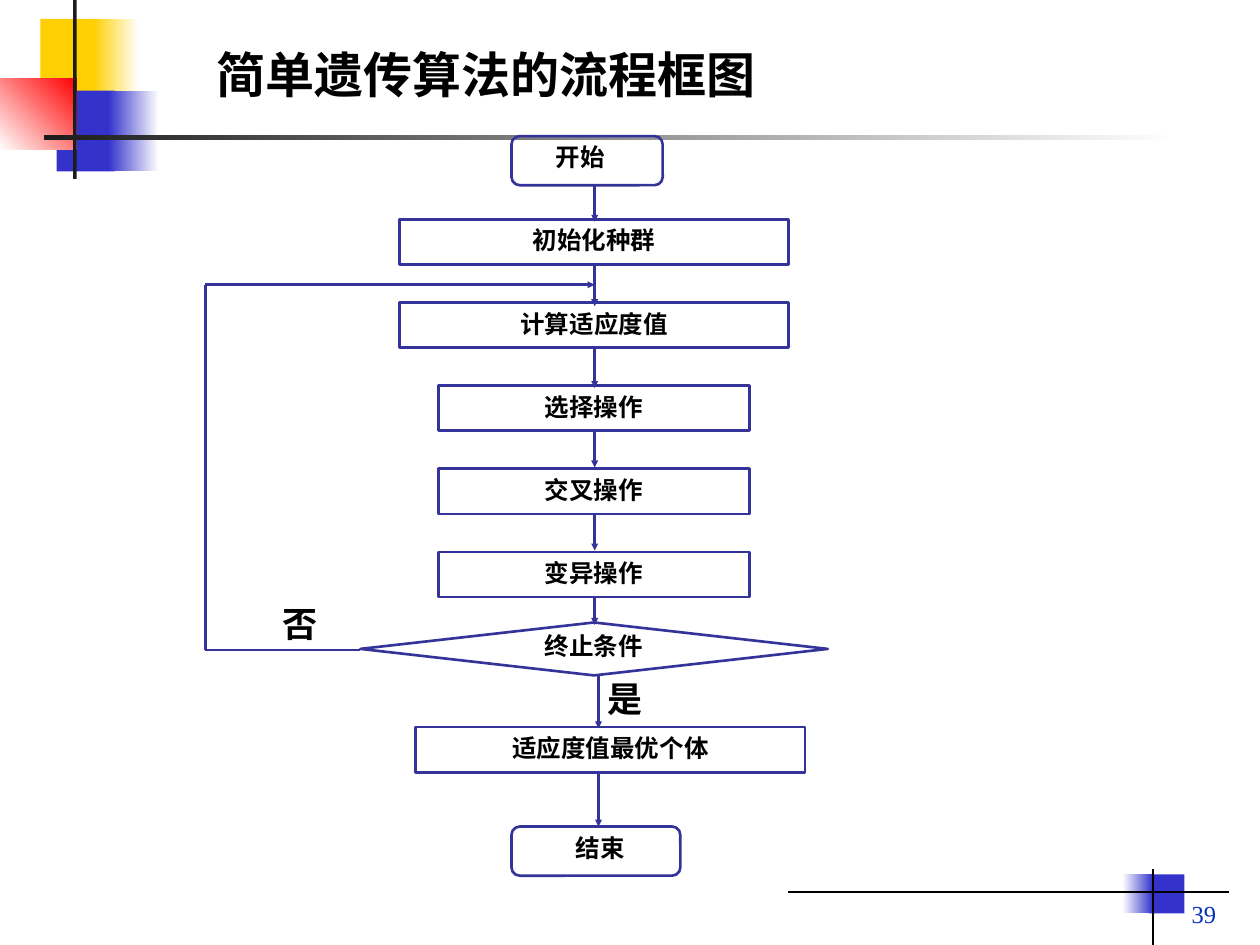
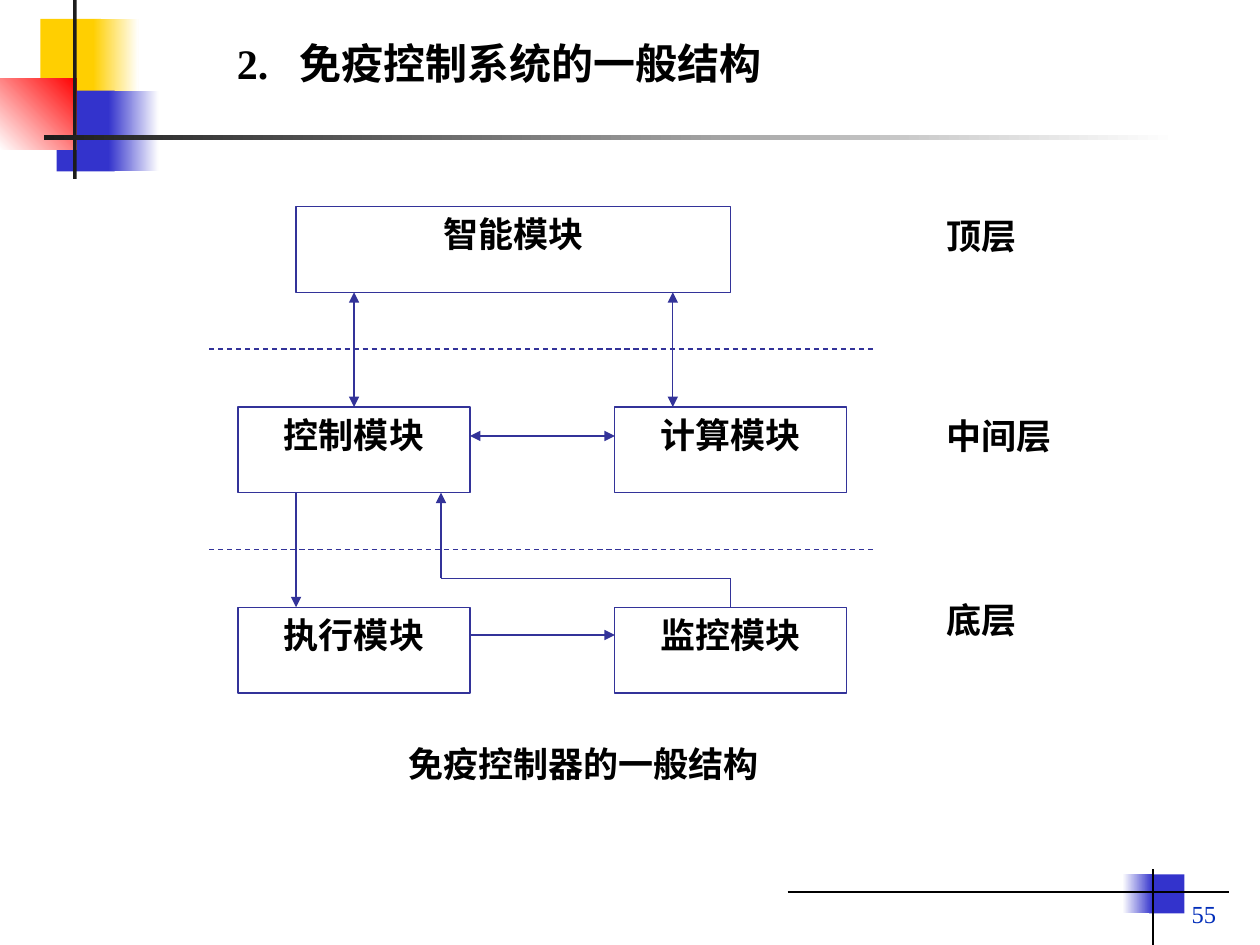
from lxml import etree
from pptx import Presentation
from pptx.dml.color import RGBColor
from pptx.enum.dml import MSO_LINE
from pptx.enum.shapes import MSO_CONNECTOR, MSO_SHAPE
from pptx.enum.text import MSO_ANCHOR, MSO_AUTO_SIZE, PP_ALIGN
from pptx.oxml.ns import qn
from pptx.util import Inches, Pt

RECT = MSO_SHAPE.RECTANGLE
TERMINAL = MSO_SHAPE.FLOWCHART_ALTERNATE_PROCESS
DECISION = MSO_SHAPE.FLOWCHART_DECISION
STRAIGHT = MSO_CONNECTOR.STRAIGHT
DASH = MSO_LINE.DASH
LEFT, CENTER, RIGHT = PP_ALIGN.LEFT, PP_ALIGN.CENTER, PP_ALIGN.RIGHT
TOP, MIDDLE, BOTTOM = MSO_ANCHOR.TOP, MSO_ANCHOR.MIDDLE, MSO_ANCHOR.BOTTOM

LATIN, CHINESE = "Times New Roman", "Noto Sans CJK SC"
BLACK, WHITE, CHARCOAL = "000000", "FFFFFF", "1C1C1C"
YELLOW, BLUE, RED = "FFCF01", "3333CC", "FF0000"
OUTLINE, NUMBER = "333399", "022EBA"
color = RGBColor.from_string


def write(box, text, size, align=CENTER, anchor=TOP, ink=BLACK, bold=True, wrap=True, tab=None):
    """Fill a box with one paragraph of text."""
    frame = box.text_frame
    frame.word_wrap = wrap
    frame.auto_size = MSO_AUTO_SIZE.NONE
    frame.vertical_anchor = anchor
    para = frame.paragraphs[0]
    para.text = text
    para.alignment = align
    if tab:
        stops = etree.SubElement(para._p.get_or_add_pPr(), qn("a:tabLst"))
        etree.SubElement(stops, qn("a:tab"), pos=str(Inches(tab)), algn="l")
    font = para.font
    font.name, font.size, font.bold = LATIN, Pt(size), bold
    font.color.rgb = color(ink)
    east_asian = etree.Element(qn("a:ea"), typeface=CHINESE)
    font._element.find(qn("a:latin")).addnext(east_asian)


def draw_line(page, start, end, width, ink=OUTLINE, arrows=(), arrow_size="med"):
    """Draw a straight line; arrows names the ends that get a triangle."""
    line = page.shapes.add_connector(STRAIGHT, *map(Inches, start + end))
    line.line.color.rgb = color(ink)
    line.line.width = Pt(width)
    for arrow in arrows:
        etree.SubElement(line.line._get_or_add_ln(), qn("a:" + arrow),
                         type="triangle", w=arrow_size, len=arrow_size)
    etree.SubElement(line._element.spPr, qn("a:effectLst"))
    return line


HEAD, TAIL = "headEnd", "tailEnd"

deck = Presentation()
deck.slide_width, deck.slide_height = Inches(10), Inches(7.5)
layout = deck.slide_layouts[5]
flow_page = deck.slides.add_slide(layout)
structure_page = deck.slides.add_slide(layout)

# Shared decoration: colour blocks and hairlines, kept on the layout
blocks = [
    (0.32, 0.15, 0.48, 0.64, YELLOW, None, 0),
    (0.74, 0.15, 0.36, 0.64, YELLOW, WHITE, 0),
    (0.45, 0.72, 0.46, 0.64, BLUE, None, 0),
    (0.86, 0.72, 0.4, 0.64, BLUE, WHITE, 0),
    (0, 0.62, 0.61, 0.57, WHITE, RED, 45),
    (0.58, 0, 0.03, 1.42, CHARCOAL, None, 0),
    (0.35, 1.07, 9, 0.04, CHARCOAL, WHITE, 0),
    (9.12, 6.94, 0.28, 0.31, BLUE, None, 0),
    (8.91, 6.94, 0.24, 0.31, WHITE, BLUE, 0),
]
decoration = []
for left, top, width, height, first, last, angle in blocks:
    block = flow_page.shapes.add_shape(RECT, *map(Inches, (left, top, width, height)))
    block.shadow.inherit = False
    block.line.fill.background()
    if last:
        block.fill.gradient()
        block.fill.gradient_angle = angle
        for stop, shade in zip(block.fill.gradient_stops, (first, last)):
            stop.color.rgb = color(shade)
    else:
        block.fill.solid()
        block.fill.fore_color.rgb = color(first)
    decoration.append(block)
for start, end in [((6.25, 7.08), (9.75, 7.08)), ((9.15, 6.9), (9.15, 7.5))]:
    decoration.append(draw_line(flow_page, start, end, 0.75, BLACK))
for item in decoration:
    layout.shapes.element.append(item._element)

# Titles and page numbers
headings = [
    (flow_page, "简单遗传算法的流程框图", 28, (1.62, 0.17, 4.75, 0.83), MIDDLE, None, "39"),
    (structure_page, "2.\t免疫控制系统的一般结构", 24, (1.78, 0.24, 5.49, 0.51), BOTTOM, 0.5, "55"),
]
for page, text, size, place, anchor, tab, number in headings:
    title = page.shapes.title
    title.left, title.top, title.width, title.height = map(Inches, place)
    write(title, text, size, LEFT, anchor, tab=tab)
    number_box = page.shapes.add_textbox(*map(Inches, (7.67, 6.9, 2.08, 0.52)))
    write(number_box, number, 14, RIGHT, BOTTOM, NUMBER, bold=False)

# Boxes of both diagrams: page, kind, place, text, text size, line width
steps = [("初始化种群", 3.17, 3.09), ("计算适应度值", 3.17, 3.09),
         ("选择操作", 3.48, 2.47), ("交叉操作", 3.48, 2.47), ("变异操作", 3.48, 2.47)]
boxes = [(flow_page, RECT, (left, 1.74 + 0.66 * row, width, 0.36), text, 14, 1.5)
         for row, (text, left, width) in enumerate(steps)]
boxes += [
    (flow_page, RECT, (3.3, 5.77, 3.09, 0.36), "适应度值最优个体", 14, 1.5),
    (flow_page, TERMINAL, (4.06, 1.08, 1.2, 0.39), None, 14, 1.5),
    (flow_page, DECISION, (2.86, 4.94, 3.71, 0.42), None, 14, 1.5),
    (flow_page, TERMINAL, (4.06, 6.56, 1.34, 0.39), None, 14, 1.5),
    (structure_page, RECT, (2.35, 1.64, 3.45, 0.68), "智能模块", 20, 0.75),
]
modules = [("控制模块", "计算模块"), ("执行模块", "监控模块")]
for row, pair in enumerate(modules):
    for column, text in enumerate(pair):
        place = (1.89 + 2.99 * column, 3.23 + 1.59 * row, 1.84, 0.68)
        boxes.append((structure_page, RECT, place, text, 20, 0.75))
for page, kind, place, text, size, weight in boxes:
    box = page.shapes.add_shape(kind, *map(Inches, place))
    box.shadow.inherit = False
    box.fill.background()
    box.line.color.rgb = color(OUTLINE)
    box.line.width = Pt(weight)
    if text:
        write(box, text, size)

# Free-standing labels
labels = [
    (flow_page, "开始", (3.64, 1.08, 1.93, 0.36), 14, CENTER, True),
    (flow_page, "终止条件", (3.48, 4.96, 2.47, 0.36), 14, CENTER, True),
    (flow_page, "结束", (3.8, 6.56, 1.93, 0.36), 14, CENTER, True),
    (flow_page, "否", (2.14, 4.73, 0.49, 0.44), 20, LEFT, True),
    (flow_page, "是", (4.72, 5.33, 0.53, 0.44), 20, LEFT, True),
    (structure_page, "顶层", (7.41, 1.65, 1.15, 0.68), 20, LEFT, True),
    (structure_page, "中间层", (7.41, 3.24, 1.61, 0.68), 20, LEFT, True),
    (structure_page, "底层", (7.41, 4.7, 1.61, 0.68), 20, LEFT, True),
    (structure_page, "免疫控制器的一般结构", (3.14, 5.84, 3.04, 0.44), 20, LEFT, False),
]
for page, text, place, size, align, wrap in labels:
    label = page.shapes.add_textbox(*map(Inches, place))
    write(label, text, size, align, wrap=wrap)

# Flow chart: downward arrows, then the loop back from the decision
down_arrows = [(4.72, 1.48, 1.76), (4.72, 2.09, 2.43), (4.72, 2.76, 3.08), (4.72, 3.42, 3.71),
               (4.72, 4.08, 4.37), (4.72, 4.74, 4.96), (4.75, 5.35, 5.78), (4.75, 6.13, 6.56)]
for x, top, bottom in down_arrows:
    draw_line(flow_page, (x, top), (x, bottom), 1.5, arrows=[TAIL], arrow_size="sm")
loop = [(2.86, 5.16), (1.63, 5.16), (1.63, 2.26), (4.72, 2.26)]
for start, end in zip(loop, loop[1:]):
    ends = [TAIL] if end == loop[-1] else []
    draw_line(flow_page, start, end, 1.5, arrows=ends, arrow_size="sm")

# Structure diagram: links between modules and dashed layer borders
links = [
    ((2.81, 2.32), (2.81, 3.23), [HEAD, TAIL]),
    ((5.34, 2.32), (5.34, 3.23), [HEAD, TAIL]),
    ((3.73, 3.46), (4.88, 3.46), [HEAD, TAIL]),
    ((2.35, 3.91), (2.35, 4.82), [TAIL]),
    ((3.73, 5.04), (4.88, 5.04), [TAIL]),
    ((5.8, 4.82), (5.8, 4.59), []),
    ((5.8, 4.59), (3.5, 4.59), []),
    ((3.5, 4.59), (3.5, 3.91), [TAIL]),
]
for start, end, ends in links:
    draw_line(structure_page, start, end, 0.75, arrows=ends)
for y in (2.77, 4.36):
    border = draw_line(structure_page, (1.66, y), (6.95, y), 0.75)
    border.line.dash_style = DASH

deck.save("out.pptx")
